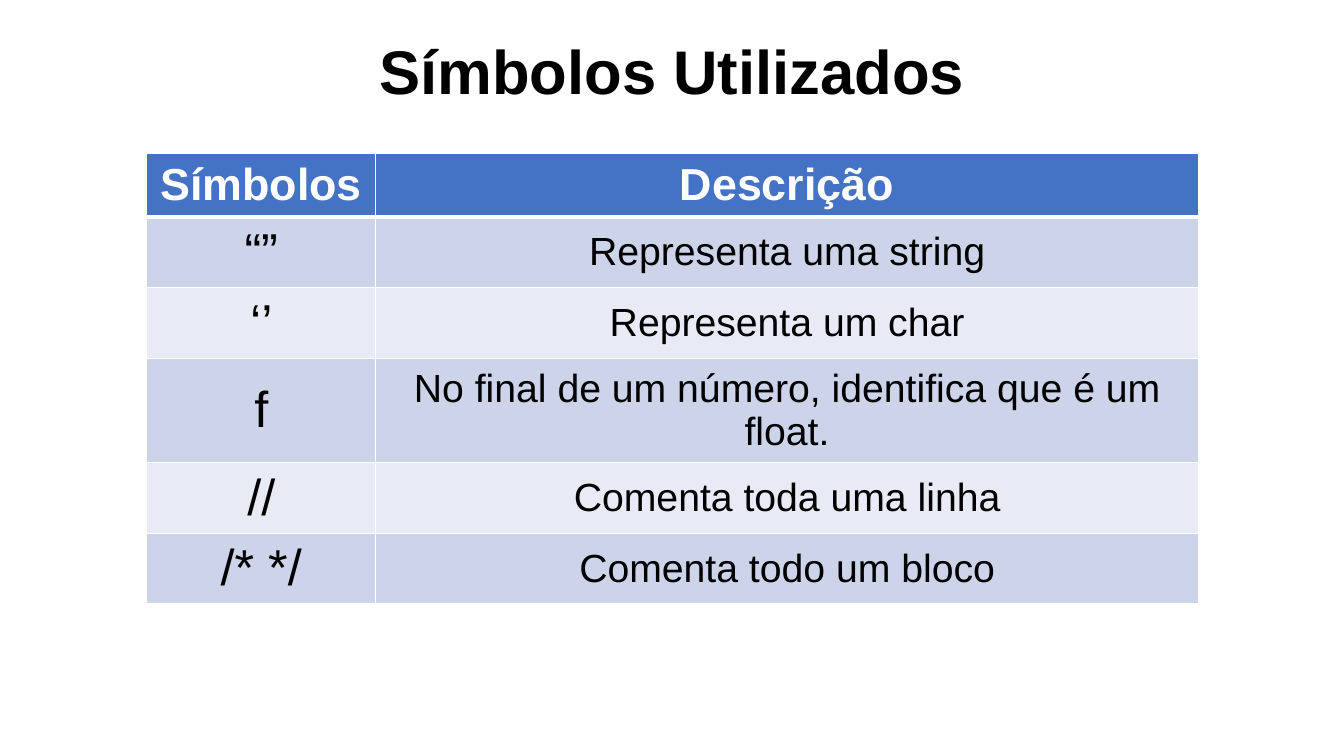
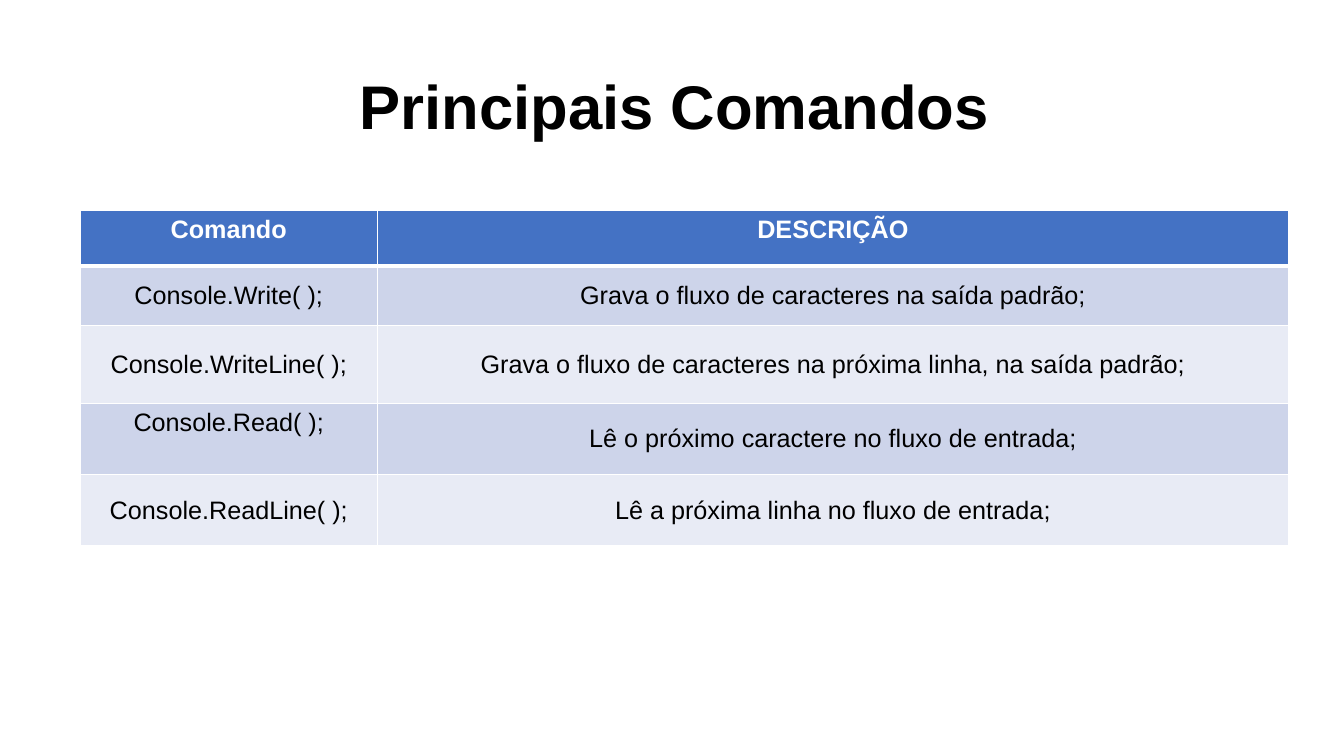
import dataclasses

import lxml.etree
import pptx
import pptx.dml.color
import pptx.enum.text
import pptx.oxml.ns
import pptx.util

Cm = pptx.util.Cm
Pt = pptx.util.Pt
ANCHOR = pptx.enum.text.MSO_ANCHOR
CENTER = pptx.enum.text.PP_ALIGN.CENTER


@dataclasses.dataclass(frozen=True)
class Theme:
    font: str = "Arial"
    text: str = "000000"
    header_text: str = "FFFFFF"
    header_fill: str = "4472C4"
    bands: tuple = ("CDD4EA", "E8EBF5")
    border: str = "FFFFFF"
    thin: int = 1
    thick: int = 3
    title_size: int = 44
    large_header: int = 32
    large_symbol: int = 36
    large_body: int = 28
    small: int = 18


THEME = Theme()


def style_paragraph(paragraph, size, color, bold=False):
    paragraph.alignment = CENTER
    font = paragraph.font
    font.name = THEME.font
    font.size = Pt(size)
    font.bold = bold
    font.color.rgb = pptx.dml.color.RGBColor.from_string(color)


def add_title(slide, text, left, top):
    title = slide.shapes.add_textbox(Cm(left), Cm(top), Cm(29.21), Cm(3.68))
    frame = title.text_frame
    frame.word_wrap = True
    frame.vertical_anchor = ANCHOR.MIDDLE
    paragraph = frame.paragraphs[0]
    paragraph.text = text
    paragraph.line_spacing = 0.9
    style_paragraph(paragraph, THEME.title_size, THEME.text, bold=True)


def add_borders(cell, row):
    """Thin lines all round, with a thick one between header and body."""
    qn = pptx.oxml.ns.qn
    properties = cell._tc.get_or_add_tcPr()
    thick_side = {0: "lnB", 1: "lnT"}.get(row)
    for side in ("lnL", "lnR", "lnT", "lnB"):
        width = THEME.thick if side == thick_side else THEME.thin
        line = lxml.etree.SubElement(properties, qn("a:" + side), w=str(Pt(width)))
        fill = lxml.etree.SubElement(line, qn("a:solidFill"))
        lxml.etree.SubElement(fill, qn("a:srgbClr"), val=THEME.border)


def fill_cell(cell, text, row, size, anchor):
    is_header = row == 0
    add_borders(cell, row)
    cell.fill.solid()
    color = THEME.header_fill if is_header else THEME.bands[(row - 1) % 2]
    cell.fill.fore_color.rgb = pptx.dml.color.RGBColor.from_string(color)
    cell.vertical_anchor = anchor
    paragraph = cell.text_frame.paragraphs[0]
    paragraph.text = text
    style_paragraph(paragraph, size,
                    THEME.header_text if is_header else THEME.text, is_header)


def add_glossary(slide, entries, left, top, widths, heights,
                 header_size, body_sizes, top_cells=()):
    """Two-column table; top_cells lists the (row, column) cells set at the top."""
    table = slide.shapes.add_table(
        len(entries), len(widths), Cm(left), Cm(top),
        Cm(sum(widths)), Cm(sum(heights))).table
    for column, width in zip(table.columns, widths):
        column.width = Cm(width)
    for r, (entry, height) in enumerate(zip(entries, heights)):
        table.rows[r].height = Cm(height)
        for c, text in enumerate(entry):
            size = body_sizes[c] if r else header_size
            anchor = ANCHOR.TOP if (r, c) in top_cells else ANCHOR.MIDDLE
            fill_cell(table.cell(r, c), text, r, size, anchor)


def build_symbols(slide):
    add_title(slide, "Símbolos Utilizados", 2.34, 0.05)
    symbols = [
        ("Símbolos", "Descrição"),
        ("“”", "Representa uma string"),
        ("‘’", "Representa um char"),
        ("f", "No final de um número, identifica que é um float."),
        ("//", "Comenta toda uma linha"),
        ("/* */", "Comenta todo um bloco"),
    ]
    add_glossary(slide, symbols, 3.7, 3.86, (5.77, 20.73), [1.42] + [1.48] * 5,
                 THEME.large_header, (THEME.large_symbol, THEME.large_body))


def build_commands(slide):
    add_title(slide, "Principais Comandos ", 2.62, 0.91)
    commands = [
        ("Comando", "DESCRIÇÃO"),
        ("Console.Write( );", "Grava o fluxo de caracteres na saída padrão;"),
        ("Console.WriteLine( );",
         "Grava o fluxo de caracteres na próxima linha, na saída padrão;"),
        ("Console.Read( );", "Lê o próximo caractere no fluxo de entrada;"),
        ("Console.ReadLine( );", "Lê a próxima linha no fluxo de entrada;"),
    ]
    add_glossary(slide, commands, 2.02, 5.3, (7.49, 22.96),
                 (1.4, 1.5, 1.96, 1.8, 1.8), THEME.small,
                 (THEME.small, THEME.small), top_cells={(0, 0), (0, 1), (3, 0)})


def main():
    deck = pptx.Presentation()
    deck.slide_width, deck.slide_height = Cm(33.87), Cm(19.05)
    blank = deck.slide_layouts[6]
    for build in (build_symbols, build_commands):
        build(deck.slides.add_slide(blank))
    deck.save("out.pptx")


if __name__ == "__main__":
    main()
